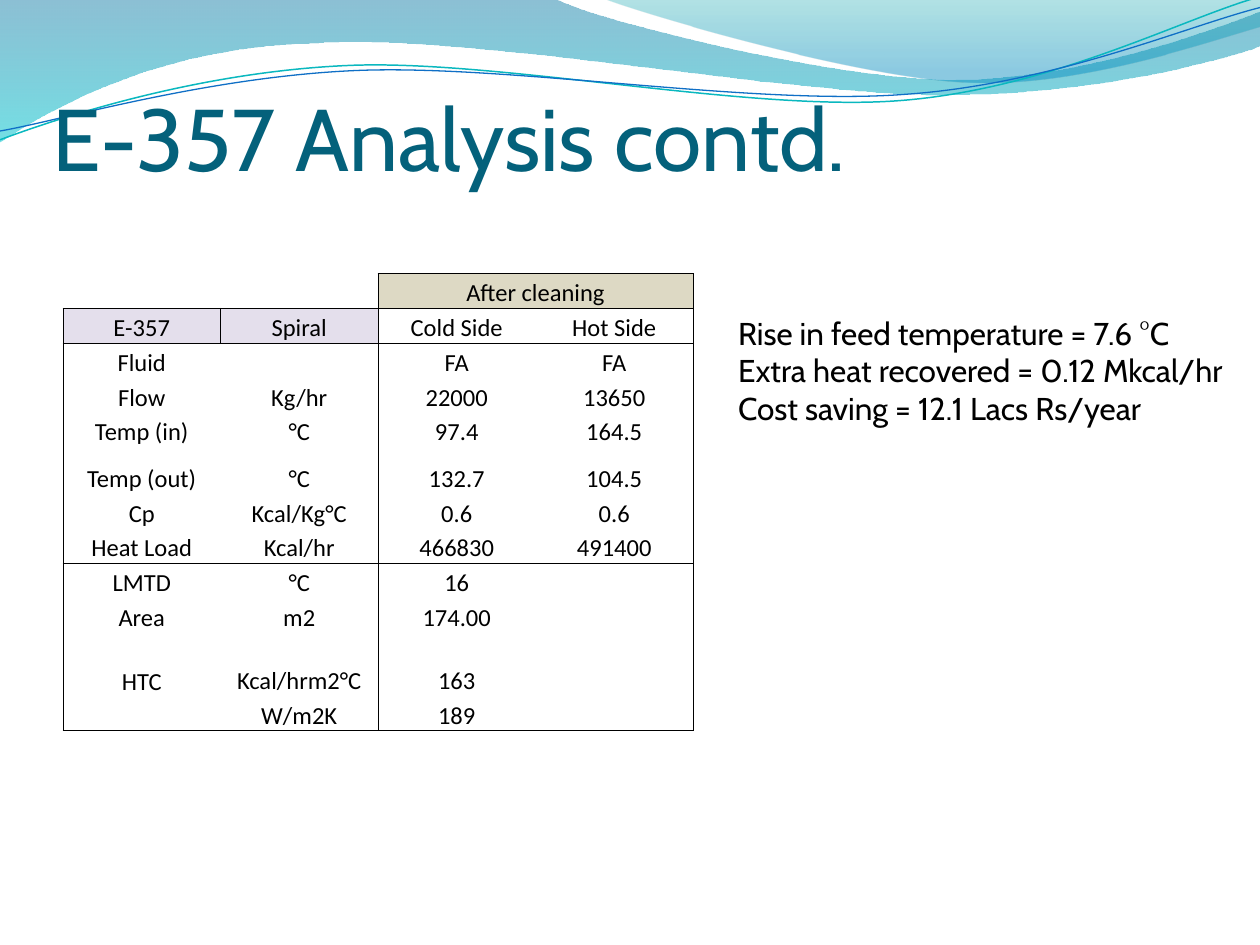
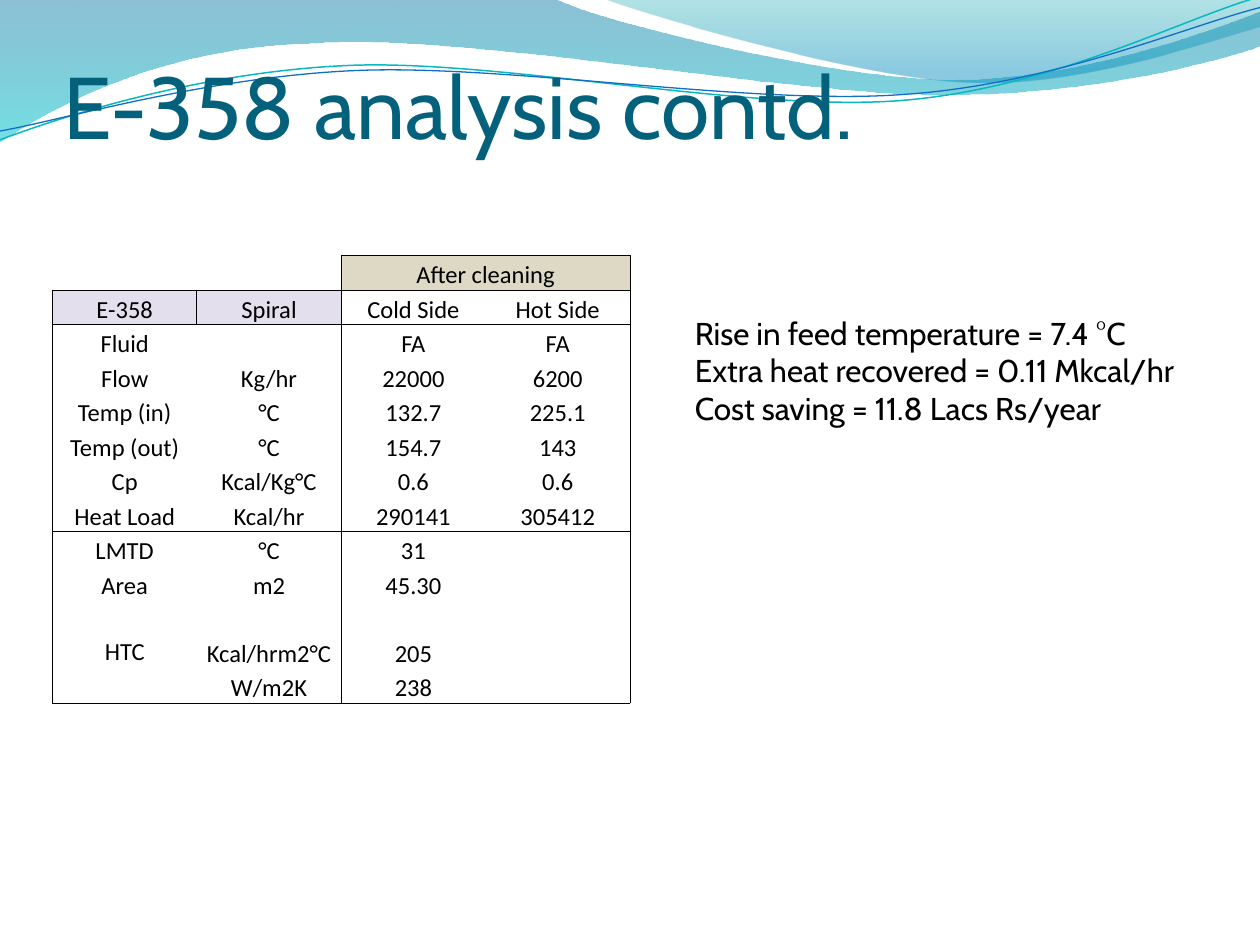
from dataclasses import dataclass

from lxml.etree import SubElement
from pptx import Presentation
from pptx.dml.color import RGBColor as Color
from pptx.enum.text import MSO_ANCHOR as Anchor, MSO_AUTO_SIZE as AutoSize, PP_ALIGN as Align
from pptx.oxml.ns import qn
from pptx.util import Inches, Pt


@dataclass(frozen=True)
class Theme:
    title: str = "04617B"
    text: str = "000000"
    cleaning: str = "DDD9C4"
    header: str = "E4DFEC"
    heading_font: str = "Cabin"
    table_font: str = "Calibri"
    title_size: float = 50
    finding_size: float = 18
    table_size: float = 14
    border_width: float = 0.5
    plain_table: str = "{2D5ABB26-0587-4C30-8999-92F81FD0307C}"


THEME = Theme()
SLIDE_WIDTH, SLIDE_HEIGHT = Inches(10), Inches(7.5)
COLUMN, ROW = SLIDE_WIDTH / 100, SLIDE_HEIGHT / 75

BANDS = [
    ([((0, 0),), ((4.4, -0.01),),
      ((4.76, 0.17), (6.64, 0.63), (7.58, 0.63)),
      ((8.53, 0.63), (9.58, 0.26), (10, 0.09)),
      ((10.01, 0.36),),
      ((9.83, 0.44), (8.7, 0.76), (7.46, 0.75)),
      ((6.22, 0.75), (3.82, 0.28), (2.57, 0.34)),
      ((1.29, 0.36), (0.46, 0.83), (-0.01, 1.13)),
      ((0, 0),)],
     [(0, "0074A1", 45), (1, "00C6CF", 55)]),
    ([((4.79, -0.01),),
      ((5.09, 0.11), (6.82, 0.62), (7.69, 0.65)),
      ((8.56, 0.69), (9.61, 0.32), (10, 0.21)),
      ((10, 0),), ((4.79, -0.01),)],
     [(0, "00A1A9", 30), (0.8, "008BBF", 45)]),
]
RIPPLES = [
    ([((0, 1.11),),
      ((0.48, 0.93), (1.58, 0.57), (2.77, 0.52)),
      ((3.95, 0.47), (5.93, 0.89), (7.13, 0.8)),
      ((8.33, 0.71), (9.38, 0.15), (9.98, -0.02))],
     "0AB8BF", 0.85),
    ([((0, 1.04),),
      ((0.47, 0.96), (1.64, 0.61), (2.83, 0.56)),
      ((4.03, 0.51), (5.97, 0.84), (7.17, 0.75)),
      ((8.36, 0.67), (9.41, 0.21), (10, 0.06))],
     "0F6FC6", 0.75),
]

LABELS = ["Fluid", "Flow", "Temp (in)", "Temp (out)", "Cp", "Heat Load", "LMTD", "Area", "HTC", ""]
UNITS = ["", "Kg/hr", "°C", "°C", "Kcal/Kg°C", "Kcal/hr", "°C", "m2", "Kcal/hrm2°C", "W/m2K"]
RULED_ROWS = (0, 1, 7, 11)
HTC_ROW = 10

EXCHANGERS = [
    {
        "name": "E-357",
        "title": "E-357 Analysis contd.",
        "title_box": (4.2, 2.5, 90, 12.5),
        "table_box": (5, 21.7, 50, 36.3),
        "tall_rows": {5: 3.7, HTC_ROW: 5},
        "findings_box": (57.6, 24.4, 42, 10.1),
        "cold": ["FA", "22000", "97.4", "132.7", "0.6", "466830", "16", "174.00", "163", "189"],
        "hot": ["FA", "13650", "164.5", "104.5", "0.6", "491400", "", "", "", ""],
        "findings": ["Rise in feed temperature = 7.6 °C",
                     "Extra heat recovered = 0.12 Mkcal/hr",
                     "Cost saving = 12.1 Lacs Rs/year"],
    },
    {
        "name": "E-358",
        "title": "E-358 analysis contd.",
        "title_box": (5, 0, 90, 12.5),
        "table_box": (4.17, 20.3, 45.83, 35.5),
        "tall_rows": {HTC_ROW: 5.4},
        "findings_box": (54.17, 24.4, 42, 10.1),
        "cold": ["FA", "22000", "132.7", "154.7", "0.6", "290141", "31", "45.30", "205", "238"],
        "hot": ["FA", "6200", "225.1", "143", "0.6", "305412", "", "", "", ""],
        "findings": ["Rise in feed temperature = 7.4 °C",
                     "Extra heat recovered = 0.11 Mkcal/hr",
                     "Cost saving = 11.8 Lacs Rs/year"],
    },
]


def place(box):
    left, top, width, height = box
    return round(left * COLUMN), round(top * ROW), round(width * COLUMN), round(height * ROW)


def set_font(paragraph, name, size, color):
    paragraph.font.name = name
    paragraph.font.size = Pt(size)
    paragraph.font.color.rgb = Color.from_string(color)


def bend(shape, segments):
    lines = iter(list(shape._element.spPr.iter(qn("a:lnTo"))))
    for segment in segments[1:]:
        first, *others = [next(lines) for _ in segment]
        if others:
            first.tag = qn("a:cubicBezTo")
        for line in others:
            first.append(line[0])
            line.getparent().remove(line)


def add_outline(slide, segments, close):
    start, *points = [(Inches(x), Inches(y)) for segment in segments for x, y in segment]
    builder = slide.shapes.build_freeform(*start)
    builder.add_line_segments(points, close=close)
    shape = builder.convert_to_shape()
    shape.shadow.inherit = False
    bend(shape, segments)
    return shape


def add_band(slide, segments, stops):
    shape = add_outline(slide, segments, True)
    shape.line.fill.background()
    shape.fill.gradient()
    shape.fill.gradient_angle = 270
    for stop, (position, color, _) in zip(shape.fill.gradient_stops, stops):
        stop.position = position
        stop.color.rgb = Color.from_string(color)
    for element, (_, _, opacity) in zip(shape._element.spPr.iter(qn("a:srgbClr")), stops):
        SubElement(element, qn("a:alpha"), val=str(opacity * 1000))
    return shape


def add_ripple(slide, segments, color, width):
    shape = add_outline(slide, segments, False)
    shape.fill.background()
    shape.line.color.rgb = Color.from_string(color)
    shape.line.width = Pt(width)
    return shape


def add_waves(layout, slide):
    waves = [add_band(slide, *band) for band in BANDS]
    waves += [add_ripple(slide, *ripple) for ripple in RIPPLES]
    for index, shape in enumerate(waves):
        shape._element.nvSpPr.cNvPr.set("id", str(100 + index))
        layout.shapes._spTree.insert(2 + index, shape._element)


def add_title(slide, box, text):
    title = slide.shapes.title
    title.left, title.top, title.width, title.height = place(box)
    frame = title.text_frame
    frame.text = text
    frame.auto_size = AutoSize.NONE
    frame.vertical_anchor = Anchor.BOTTOM
    frame.margin_left = frame.margin_right = frame.margin_bottom = 0
    frame.margin_top = Inches(0.05)
    paragraph = frame.paragraphs[0]
    paragraph.alignment = Align.LEFT
    set_font(paragraph, THEME.heading_font, THEME.title_size, THEME.title)


def border_sides(row, column):
    return {
        "L": (column == 0 and row > 0) or column == 2 or (row, column) == (1, 1),
        "R": column in (1, 3) or (row, column) in ((0, 2), (1, 0)),
        "T": row - 1 in RULED_ROWS or (row == 0 and column >= 2),
        "B": row in RULED_ROWS or (row, column) == (HTC_ROW, 0),
    }


def add_borders(cell, row, column):
    properties = cell._tc.get_or_add_tcPr()
    for side, drawn in border_sides(row, column).items():
        line = SubElement(properties, qn(f"a:ln{side}"), w=str(Pt(THEME.border_width)))
        if drawn:
            fill = SubElement(line, qn("a:solidFill"))
            SubElement(fill, qn("a:srgbClr"), val=THEME.text)
        else:
            SubElement(line, qn("a:noFill"))


def cell_fill(row, column):
    if row == 0 and column >= 2:
        return THEME.cleaning
    return THEME.header if row == 1 and column < 2 else None


def format_cell(cell, row, column, text):
    cell.margin_left = cell.margin_right = cell.margin_top = Inches(0.01)
    cell.margin_bottom = 0
    cell.vertical_anchor = Anchor.MIDDLE if (row, column) == (HTC_ROW, 0) else Anchor.BOTTOM
    add_borders(cell, row, column)
    fill = cell_fill(row, column)
    if fill:
        cell.fill.solid()
        cell.fill.fore_color.rgb = Color.from_string(fill)
    else:
        cell.fill.background()
    cell.text = text
    paragraph = cell.text_frame.paragraphs[0]
    paragraph.alignment = Align.CENTER
    set_font(paragraph, THEME.table_font, THEME.table_size, THEME.text)
    if not text:
        SubElement(paragraph._p, qn("a:endParaRPr"), sz=str(THEME.table_size * 100))


def add_readings(slide, box, exchanger):
    rows = [("", "", "After cleaning", ""),
            (exchanger["name"], "Spiral", "Cold Side", "Hot Side"),
            *zip(LABELS, UNITS, exchanger["cold"], exchanger["hot"])]
    table = slide.shapes.add_table(len(rows), len(rows[0]), *place(box)).table
    table.first_row = table.horz_banding = False
    table._tbl.tblPr.find(qn("a:tableStyleId")).text = THEME.plain_table
    tall_rows = exchanger["tall_rows"]
    even_height = (box[3] - sum(tall_rows.values())) / (len(rows) - len(tall_rows))
    for row, values in enumerate(rows):
        table.rows[row].height = round(tall_rows.get(row, even_height) * ROW)
        for column, text in enumerate(values):
            format_cell(table.cell(row, column), row, column, text)
    table.cell(0, 2).merge(table.cell(0, 3))
    table.cell(HTC_ROW, 0).merge(table.cell(HTC_ROW + 1, 0))


def add_findings(slide, box, findings):
    frame = slide.shapes.add_textbox(*place(box)).text_frame
    frame.word_wrap = False
    frame.auto_size = AutoSize.SHAPE_TO_FIT_TEXT
    frame.text = "\n".join(findings)
    for paragraph in frame.paragraphs:
        set_font(paragraph, THEME.heading_font, THEME.finding_size, THEME.text)


def fill_analysis_slide(slide, exchanger):
    add_title(slide, exchanger["title_box"], exchanger["title"])
    add_readings(slide, exchanger["table_box"], exchanger)
    add_findings(slide, exchanger["findings_box"], exchanger["findings"])


def main():
    presentation = Presentation()
    presentation.slide_width, presentation.slide_height = SLIDE_WIDTH, SLIDE_HEIGHT
    layout = presentation.slide_layouts[5]
    slides = [presentation.slides.add_slide(layout) for _ in EXCHANGERS]
    add_waves(layout, slides[0])
    for slide, exchanger in zip(slides, EXCHANGERS):
        fill_analysis_slide(slide, exchanger)
    presentation.save("out.pptx")


if __name__ == "__main__":
    main()
